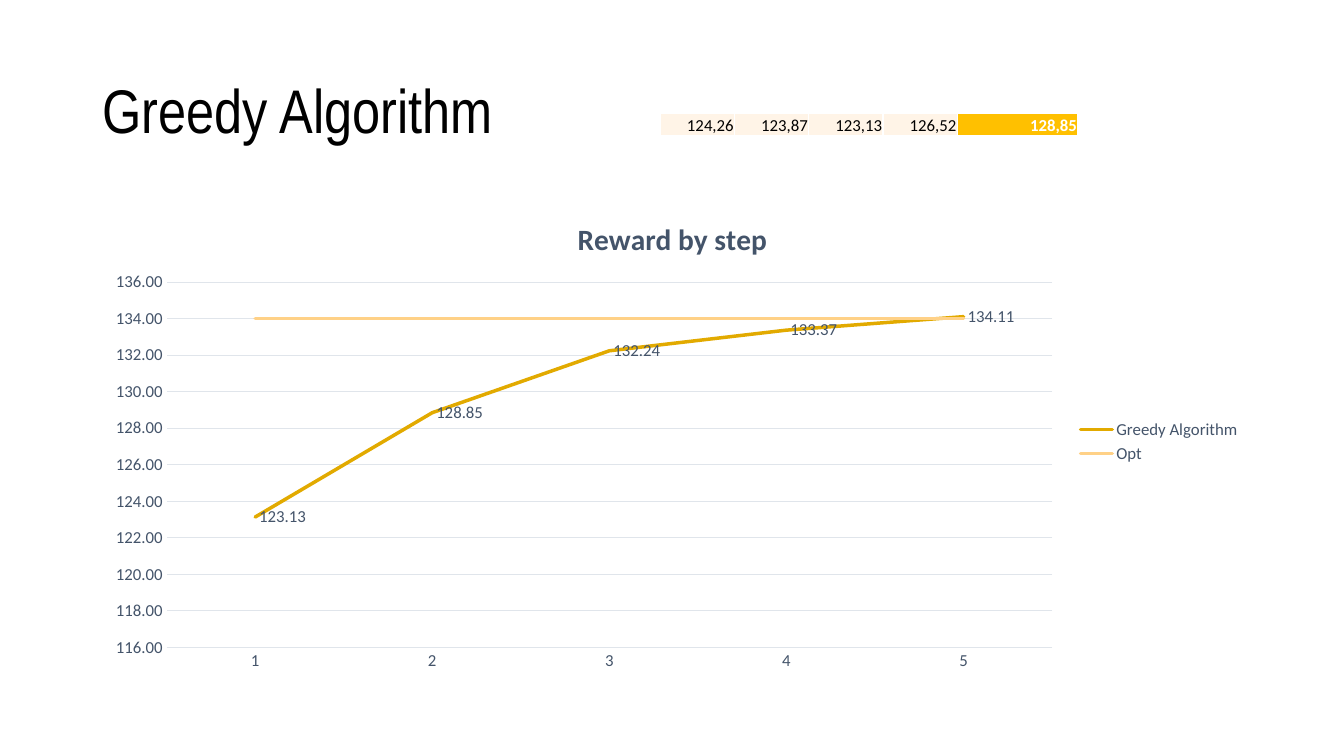
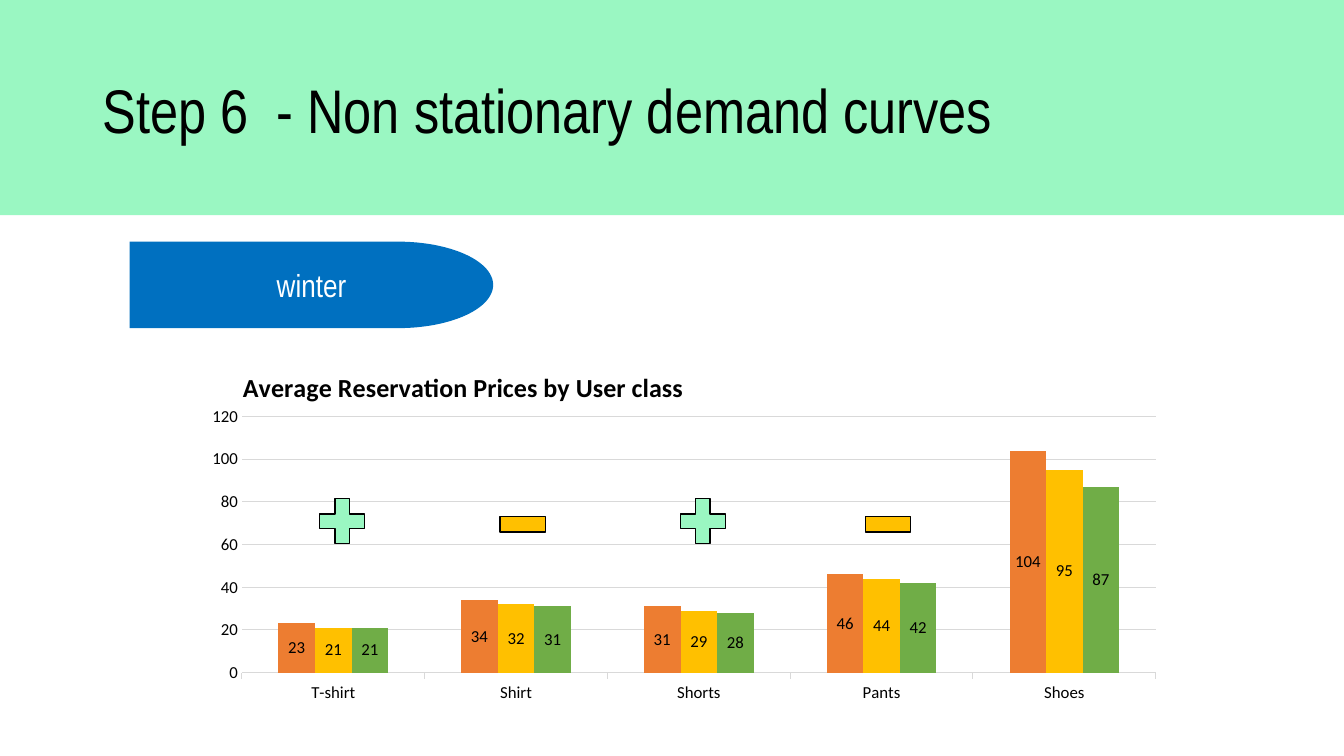
"""Build two slides about pricing: a greedy algorithm and changing demand curves."""
from math import cos, pi, sin

from lxml.etree import SubElement
from pptx import Presentation
from pptx.chart.data import CategoryChartData
from pptx.dml.color import RGBColor
from pptx.enum.chart import XL_CHART_TYPE, XL_LABEL_POSITION, XL_LEGEND_POSITION, XL_TICK_MARK
from pptx.enum.shapes import MSO_SHAPE
from pptx.enum.text import MSO_ANCHOR, MSO_AUTO_SIZE, PP_ALIGN
from pptx.oxml import parse_xml
from pptx.oxml.ns import nsdecls, qn
from pptx.util import Cm, Pt

BLACK = RGBColor(0x00, 0x00, 0x00)
WHITE = RGBColor(0xFF, 0xFF, 0xFF)
SLATE = RGBColor(0x44, 0x54, 0x6A)
PALE_GRID = RGBColor(0xE0, 0xE5, 0xEB)
GREY_GRID = RGBColor(0xD9, 0xD9, 0xD9)
DARK_GOLD = RGBColor(0xE2, 0xAA, 0x00)
PALE_GOLD = RGBColor(0xFF, 0xD1, 0x87)
CREAM = RGBColor(0xFF, 0xF4, 0xE7)
GOLD = RGBColor(0xFF, 0xC0, 0x00)
MINT = RGBColor(0x9A, 0xF7, 0xC2)
BLUE = RGBColor(0x00, 0x70, 0xC0)
ORANGE = RGBColor(0xED, 0x7D, 0x31)
GREEN = RGBColor(0x70, 0xAD, 0x47)

TITLE_FONT = "Arial Narrow"
BODY_FONT = "Calibri"
PAGE_WIDTH, PAGE_HEIGHT = Cm(33.87), Cm(19.05)


def set_font(font, size=12, color=BLACK, bold=False, name=BODY_FONT):
    """Format a font."""
    font.name, font.size, font.bold = name, Pt(size), bold
    font.color.rgb = color


def write_text(frame, text, align=None, line_spacing=None, **font_format):
    """Write one formatted paragraph in a text frame."""
    para = frame.paragraphs[0]
    if align is not None:
        para.alignment = align
    if line_spacing is not None:
        para.line_spacing = line_spacing
    span = para.add_run()
    span.text = text
    set_font(span.font, **font_format)


def add_page(deck, title):
    """Add a title-only slide with the shared title style."""
    page = deck.slides.add_slide(deck.slide_layouts[5])
    box = page.shapes.title
    box.left, box.top, box.width, box.height = Cm(2.33), Cm(1.02), Cm(29.21), Cm(3.68)
    frame = box.text_frame
    frame.auto_size = MSO_AUTO_SIZE.NONE
    frame.word_wrap = True
    frame.vertical_anchor = MSO_ANCHOR.MIDDLE
    write_text(frame, title, align=PP_ALIGN.LEFT, line_spacing=0.9, size=44, name=TITLE_FONT)
    return page


def paint(shape, fill, line=None):
    """Give a shape a flat fill and an optional thin outline."""
    shape.shadow.inherit = False
    shape.fill.solid()
    shape.fill.fore_color.rgb = fill
    if line is None:
        shape.line.fill.background()
    else:
        shape.line.color.rgb = line
        shape.line.width = Pt(1)


def add_shape(page, kind, left, top, width, height, fill, line=None):
    """Add a painted preset shape measured in centimetres."""
    shape = page.shapes.add_shape(kind, Cm(left), Cm(top), Cm(width), Cm(height))
    paint(shape, fill, line)
    return shape


def add_season_tag(page, text, left, top, straight, curve, height):
    """Add a label whose right end is half an ellipse."""
    radius, steps = height / 2, 48
    angles = [pi / 2 - pi * step / steps for step in range(steps + 1)]
    arc = [(Cm(left + straight + curve * cos(angle)), Cm(top + radius - radius * sin(angle)))
           for angle in angles]
    builder = page.shapes.build_freeform(Cm(left), Cm(top))
    builder.add_line_segments(arc + [(Cm(left), Cm(top + height))], close=True)
    tag = builder.convert_to_shape()
    paint(tag, BLUE)
    tag.text_frame.vertical_anchor = MSO_ANCHOR.MIDDLE
    write_text(tag.text_frame, text, align=PP_ALIGN.CENTER, size=22.7, color=WHITE,
               name=TITLE_FONT)


def set_cell_borders(cell, color):
    """Draw thin borders on all sides of a cell."""
    properties = cell._tc.get_or_add_tcPr()
    for index, side in enumerate(("lnL", "lnR", "lnT", "lnB")):
        properties.insert(index, parse_xml(
            f'<a:{side} {nsdecls("a")} w="12700"><a:solidFill><a:srgbClr val="{color}"/>'
            f'</a:solidFill></a:{side}>'))


def add_reward_table(page, values, widths):
    """Add a one-row table that highlights its last value."""
    table = page.shapes.add_table(1, len(values), Cm(16.64), Cm(2.86),
                                  Cm(sum(widths)), Cm(0.56)).table
    table.rows[0].height = Cm(0.56)
    last = len(values) - 1
    for index, (value, width) in enumerate(zip(values, widths)):
        table.columns[index].width = Cm(width)
        cell = table.cell(0, index)
        cell.margin_left = cell.margin_right = cell.margin_top = Cm(0.02)
        cell.margin_bottom = 0
        cell.vertical_anchor = MSO_ANCHOR.BOTTOM
        best = index == last
        cell.fill.solid()
        cell.fill.fore_color.rgb = GOLD if best else CREAM
        write_text(cell.text_frame, value, align=PP_ALIGN.RIGHT,
                   color=WHITE if best else BLACK, bold=best)
        set_cell_borders(cell, WHITE)


def set_layout(parent, index, inner=False, **fractions):
    """Place a chart part by fractions of the chart area."""
    for old in parent.findall(qn("c:layout")):
        parent.remove(old)
    layout = parse_xml(f'<c:layout {nsdecls("c")}><c:manualLayout/></c:layout>')
    manual = layout[0]
    settings = {"layoutTarget": "inner"} if inner else {}
    settings.update(xMode="edge", yMode="edge", **fractions)
    for name, value in settings.items():
        SubElement(manual, qn(f"c:{name}")).set("val", str(value))
    parent.insert(index, layout)


def add_chart(page, kind, area, categories, series, title, title_size, title_place, color,
              grid_color, scale, plot_area):
    """Add a category chart with styled title, axes and plot area."""
    data = CategoryChartData()
    data.categories = categories
    for name, values in series:
        data.add_series(name, values)
    chart = page.shapes.add_chart(kind, *map(Cm, area), data).chart
    set_font(chart.font, size=10)
    chart.has_legend = False
    chart.has_title = True
    write_text(chart.chart_title.text_frame, title, size=title_size, color=color, bold=True)
    chart.chart_title.include_in_layout = False
    set_layout(chart.chart_title.element, 1, **title_place)
    chart.plots[0].vary_by_categories = False

    for axis in (chart.category_axis, chart.value_axis):
        set_font(axis.tick_labels.font, color=color)
        axis.major_tick_mark = axis.minor_tick_mark = XL_TICK_MARK.NONE
    values_axis = chart.value_axis
    values_axis.minimum_scale, values_axis.maximum_scale, values_axis.major_unit = scale
    values_axis.format.line.fill.background()
    for line in (chart.category_axis.format.line, values_axis.major_gridlines.format.line):
        line.color.rgb = grid_color
        line.width = Pt(0.75)
    set_layout(chart.element.find(".//" + qn("c:plotArea")), 0, inner=True, **plot_area)
    return chart


def show_labels(series, color, position, number_format="General"):
    """Show the values of a series."""
    labels = series.data_labels
    labels.show_value = True
    labels.position = position
    labels.number_format = number_format
    labels.number_format_is_linked = False
    set_font(labels.font, color=color)


def build_greedy_page(deck):
    """Build the slide with the reward line chart."""
    page = add_page(deck, "Greedy Algorithm")
    series = [("Greedy Algorithm", (123.13, 128.85, 132.24, 133.37, 134.11)),
              ("Opt", (134,) * 5)]
    chart = add_chart(page, XL_CHART_TYPE.LINE, (2.33, 5.08, 29.21, 12.09), list("12345"),
                      series, "Reward by step", 21, {"x": 0.414, "y": 0.024}, SLATE,
                      PALE_GRID, (116, 136, 2),
                      {"x": 0.064, "y": 0.168, "w": 0.764, "h": 0.761})
    chart.value_axis.tick_labels.number_format = "0.00"
    chart.value_axis.tick_labels.number_format_is_linked = False
    for curve, color in zip(chart.series, (DARK_GOLD, PALE_GOLD)):
        curve.smooth = False
        curve.format.line.color.rgb = color
        curve.format.line.width = Pt(2.5)
    for outline in chart.element.findall(f".//{qn('c:ser')}/{qn('c:spPr')}/{qn('a:ln')}"):
        outline.set("cap", "rnd")
    show_labels(chart.series[0], SLATE, XL_LABEL_POSITION.RIGHT, "0.00")
    chart.has_legend = True
    chart.legend.position = XL_LEGEND_POSITION.RIGHT
    chart.legend.include_in_layout = False
    set_font(chart.legend.font, color=SLATE)
    add_reward_table(page, ("124,26", "123,87", "123,13", "126,52", "128,85"),
                     (1.87,) * 4 + (3.04,))


def build_demand_page(deck):
    """Build the slide with the winter reservation prices."""
    page = add_page(deck, "Step 6  - Non stationary demand curves")
    band = add_shape(page, MSO_SHAPE.RECTANGLE, 0, 0, 33.87, 5.42, MINT)
    page.shapes.title.element.addprevious(band.element)

    series = [("Series 1", (23, 34, 31, 46, 104)),
              ("Series 2", (21, 32, 29, 44, 95)),
              ("Series 3", (21, 31, 28, 42, 87))]
    chart = add_chart(page, XL_CHART_TYPE.COLUMN_CLUSTERED, (4.73, 8.94, 24.41, 9.37),
                      ("T-shirt", "Shirt", "Shorts", "Pants", "Shoes"), series,
                      "Average Reservation Prices by User class", 18.6,
                      {"x": 0.052, "y": 0.027}, BLACK, GREY_GRID, (0, 120, 20),
                      {"x": 0.056, "y": 0.166, "w": 0.944, "h": 0.689})
    chart.category_axis.major_tick_mark = XL_TICK_MARK.OUTSIDE
    chart.plots[0].gap_width = 200
    chart.plots[0].overlap = 0
    for bars, color in zip(chart.series, (ORANGE, GOLD, GREEN)):
        bars.format.fill.solid()
        bars.format.fill.fore_color.rgb = color
        show_labels(bars, BLACK, XL_LABEL_POSITION.CENTER)

    add_season_tag(page, "winter", 3.27, 6.09, 6.76, 2.4, 2.18)
    for left in (7.85, 16.94):
        add_shape(page, MSO_SHAPE.MATH_PLUS, left, 12.36, 1.55, 1.55, MINT, BLACK)
    for left in (12.4, 21.61):
        add_shape(page, MSO_SHAPE.MATH_MINUS, left, 12.36, 1.55, 1.7, GOLD, BLACK)


def main():
    """Build and save the deck."""
    deck = Presentation()
    deck.slide_width, deck.slide_height = PAGE_WIDTH, PAGE_HEIGHT
    build_greedy_page(deck)
    build_demand_page(deck)
    deck.save("out.pptx")


if __name__ == "__main__":
    main()
